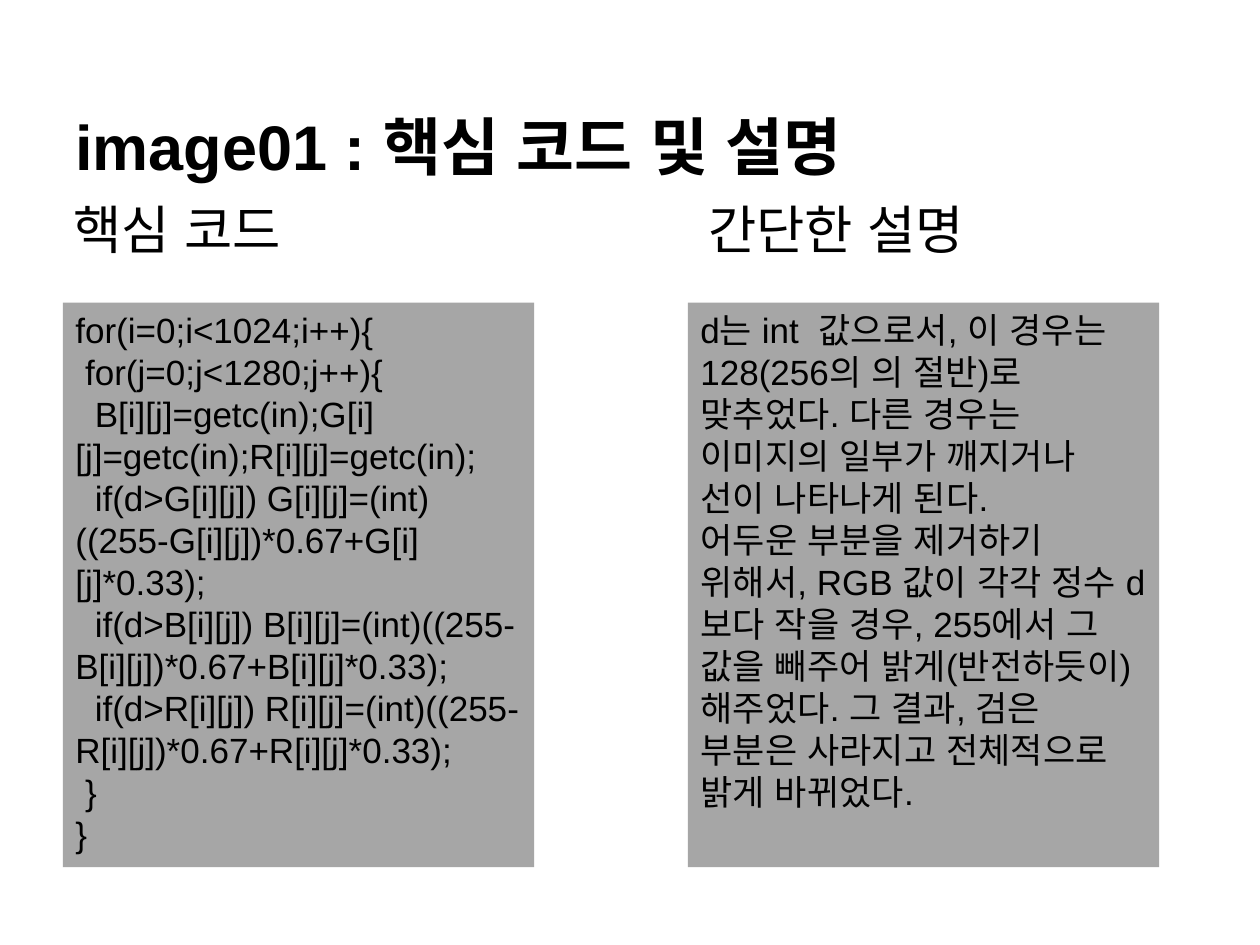
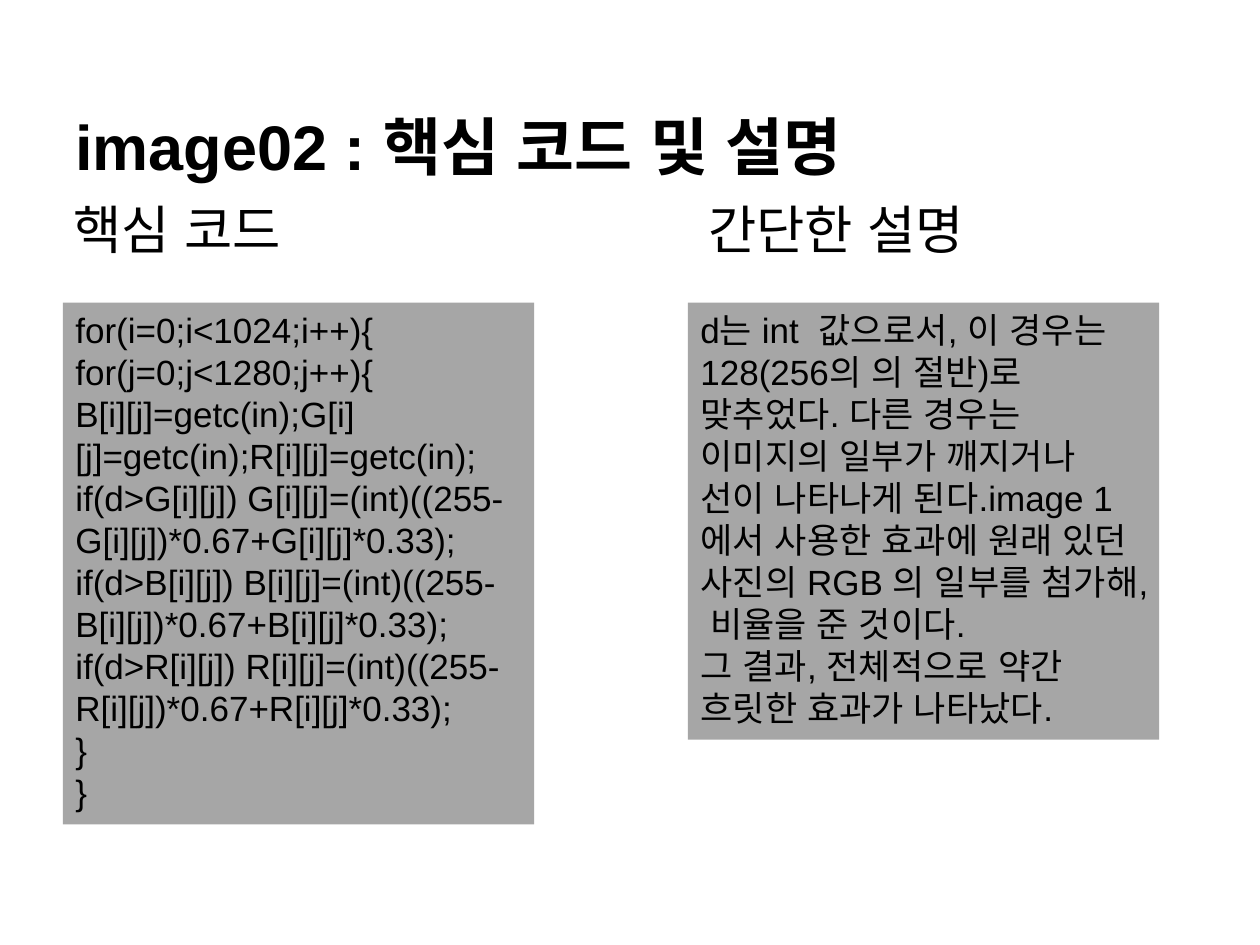
"""Builds two slides that set core image code beside a short account of it."""
import pptx
import pptx.dml.color
import pptx.enum.shapes
import pptx.enum.text
import pptx.oxml.ns
import pptx.util
from lxml import etree

Cm = pptx.util.Cm
Pt = pptx.util.Pt
TEXT = pptx.enum.text
COLORS = {"ink": "000000", "panel": "A6A6A6"}
FONT = "Arial"
INSET = Cm(0.25)
PANEL_TOP = 6.1
PANEL_WIDTH = 9.5
PANEL_LEFTS = (1.27, 13.87)
HEADS = (("핵심 코드", 0.69, 11.5), ("간단한 설명", 13.49, 11.4))

CODE = [
    "for(i=0;i<1024;i++){",
    " for(j=0;j<1280;j++){",
    "  B[i][j]=getc(in);G[i][j]=getc(in);R[i][j]=getc(in);",
    *(f"  if(d>{c}[i][j]) {c}[i][j]=(int)((255-{c}[i][j])*0.67+{c}[i][j]*0.33);"
      for c in "GBR"),
    " }",
    "}",
]
INTRO = ("d는 int  값으로서, 이 경우는 128(256의 의 절반)로 맞추었다. "
         "다른 경우는 이미지의 일부가 깨지거나 선이 나타나게 된다.")
INVERT = ("어두운 부분을 제거하기 위해서, RGB 값이 각각 정수 d 보다 작을 경우, "
          "255에서 그 값을 빼주어 밝게(반전하듯이) 해주었다. "
          "그 결과, 검은 부분은 사라지고 전체적으로 밝게 바뀌었다.")
BLEND = ("image 1에서 사용한 효과에 원래 있던 사진의 RGB 의 일부를 첨가해, "
         "비율을 준 것이다.")
RESULT = "그 결과, 전체적으로 약간 흐릿한 효과가 나타났다."

SLIDES = [
    ("image01", (CODE, 11.38), ([INTRO, INVERT], 11.38)),
    ("image02", ([line.strip() for line in CODE], 10.52),
     ([INTRO + BLEND, RESULT], 8.81)),
]


def color(name):
    """Return a named colour."""
    return pptx.dml.color.RGBColor.from_string(COLORS[name])


def add_run(para, text, size, bold=False):
    """Add one left-aligned run, with the same font for Hangul."""
    para.alignment = TEXT.PP_ALIGN.LEFT
    run = para.add_run()
    run.text = text
    run.font.name = FONT
    run.font.size = Pt(size)
    run.font.bold = bold
    run.font.color.rgb = color("ink")
    props = run._r.get_or_add_rPr()
    etree.SubElement(props, pptx.oxml.ns.qn("a:ea"), typeface=FONT)


def place(shape, left, top, width, height, anchor):
    """Move a placeholder and return its first paragraph."""
    shape.left, shape.top = Cm(left), Cm(top)
    shape.width, shape.height = Cm(width), Cm(height)
    frame = shape.text_frame
    frame.word_wrap = True
    frame.auto_size = TEXT.MSO_AUTO_SIZE.NONE
    frame.vertical_anchor = anchor
    frame.margin_left = frame.margin_right = INSET
    frame.margin_top = frame.margin_bottom = INSET
    return frame.paragraphs[0]


def fill_title(slide, name):
    """Fill the title."""
    para = place(slide.shapes.title, 1.27, 0.76, 22.86, 3.18,
                 TEXT.MSO_ANCHOR.BOTTOM)
    add_run(para, f"{name} : 핵심 코드 및 설명", 36, True)


def fill_head(shape, text, left, width):
    """Fill a column heading without a bullet."""
    para = place(shape, left, 3.73, width, 1.83, TEXT.MSO_ANCHOR.TOP)
    props = para._p.get_or_add_pPr()
    props.set("marL", str(Cm(0.97)))
    props.set("indent", str(Cm(-0.43)))
    etree.SubElement(props, pptx.oxml.ns.qn("a:buNone"))
    para.space_before = Pt(0)
    add_run(para, text, 30)


def add_panel(slide, left, lines, height):
    """Add a grey panel with one paragraph per line."""
    panel = slide.shapes.add_shape(
        pptx.enum.shapes.MSO_SHAPE.RECTANGLE,
        Cm(left), Cm(PANEL_TOP), Cm(PANEL_WIDTH), Cm(height))
    panel.shadow.inherit = False
    panel.fill.solid()
    panel.fill.fore_color.rgb = color("panel")
    panel.line.fill.background()
    frame = panel.text_frame
    frame.word_wrap = True
    frame.auto_size = TEXT.MSO_AUTO_SIZE.SHAPE_TO_FIT_TEXT
    frame.vertical_anchor = TEXT.MSO_ANCHOR.TOP
    for i, line in enumerate(lines):
        para = frame.add_paragraph() if i else frame.paragraphs[0]
        add_run(para, line, 20)


def main():
    """Build and save the deck."""
    deck = pptx.Presentation()
    deck.slide_width, deck.slide_height = Cm(25.4), Cm(19.05)
    layout = deck.slide_layouts.get_by_name("Two Content")
    for name, *panels in SLIDES:
        slide = deck.slides.add_slide(layout)
        fill_title(slide, name)
        for idx, head in enumerate(HEADS, 1):
            fill_head(slide.placeholders[idx], *head)
        for left, panel in zip(PANEL_LEFTS, panels):
            add_panel(slide, left, *panel)
    deck.save("out.pptx")


if __name__ == "__main__":
    main()
